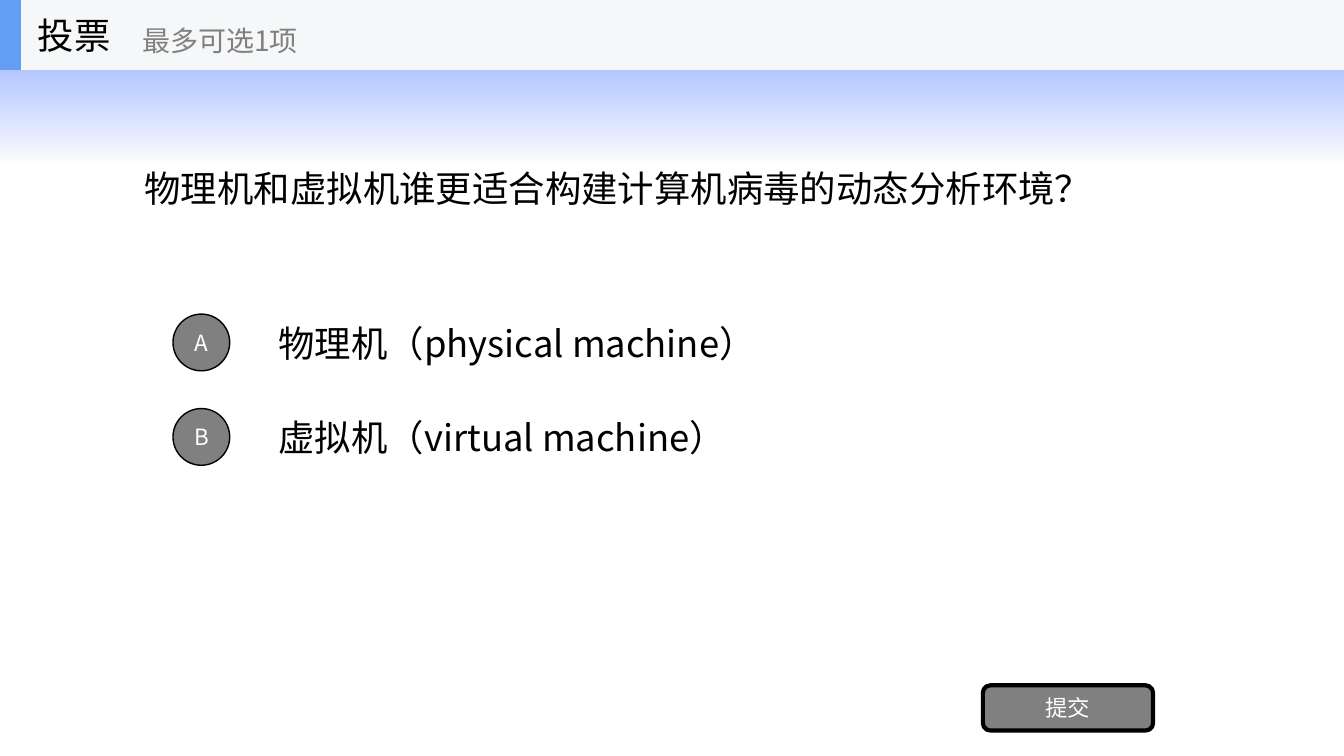
from lxml import etree
from pptx import Presentation
from pptx import util as u
from pptx.dml.color import RGBColor
from pptx.enum import shapes, text
from pptx.oxml.ns import qn

FONT = "Noto Sans CJK SC"
BLACK, GREY, WHITE = "000000", "808080", "FFFFFF"
SLIDE_WIDTH = 33.87
HEADER_HEIGHT = 1.76
OPTIONS = [("A", "物理机（physical machine）"), ("B", "虚拟机（virtual machine）")]
FIRST_OPTION_TOP, OPTION_PITCH, OPTION_HEIGHT = 7.74, 2.38, 1.78
BADGE_SIZE = 1.43


def rgb(value):
    return RGBColor.from_string(value)


def write(holder, words, size, colour, align=text.PP_ALIGN.LEFT):
    frame = holder.text_frame
    frame.word_wrap = True
    frame.auto_size = text.MSO_AUTO_SIZE.NONE
    frame.vertical_anchor = text.MSO_ANCHOR.MIDDLE
    paragraph = frame.paragraphs[0]
    paragraph.alignment = align
    run = paragraph.add_run()
    run.text = words
    run.font.size = u.Pt(size)
    run.font.name = FONT
    run.font.color.rgb = rgb(colour)
    east_asian = etree.Element(qn("a:ea"), typeface=FONT)
    run.font._element.find(qn("a:latin")).addnext(east_asian)


def add_label(slide, box, words, size=26, colour=BLACK):
    label = slide.shapes.add_textbox(*map(u.Cm, box))
    write(label, words, size, colour)


def add_block(slide, kind, box, fill=None, line_width=0):
    block = slide.shapes.add_shape(kind, *map(u.Cm, box))
    block.shadow.inherit = False
    if fill:
        block.fill.solid()
        block.fill.fore_color.rgb = rgb(fill)
    if line_width:
        block.line.color.rgb = rgb(BLACK)
        block.line.width = u.Pt(line_width)
    else:
        block.line.fill.background()
    return block


def add_button(slide, kind, box, words, line_width):
    button = add_block(slide, kind, box, GREY, line_width)
    write(button, words, 16, WHITE, text.PP_ALIGN.CENTER)


def add_glow(slide):
    glow = add_block(slide, shapes.MSO_SHAPE.RECTANGLE, (0, 0, SLIDE_WIDTH, 4.11))
    glow.fill.gradient()
    glow.fill.gradient_angle = 270
    fade = [("3366FF", 0, 60), (WHITE, 1, 70)]
    for stop, (colour, position, _) in zip(glow.fill.gradient_stops, fade):
        stop.color.rgb = rgb(colour)
        stop.position = position
    tints = glow.element.spPr.iter(qn("a:srgbClr"))
    for tint, (_, _, opacity) in zip(tints, fade):
        etree.SubElement(tint, qn("a:alpha"), val=str(opacity * 1000))
    slide.shapes.title.element.addprevious(glow.element)


def add_question(slide, words):
    question = slide.shapes.title
    question.left, question.top = u.Cm(3.39), u.Cm(1.76)
    question.width, question.height = u.Cm(27.09), u.Cm(5.94)
    write(question, words, 26, BLACK)


def add_option(slide, index, letter, answer):
    top = FIRST_OPTION_TOP + index * OPTION_PITCH
    add_label(slide, (6.77, top, 23.7, OPTION_HEIGHT), answer)
    badge_top = top + (OPTION_HEIGHT - BADGE_SIZE) / 2
    add_button(slide, shapes.MSO_SHAPE.OVAL,
               (4.36, badge_top, BADGE_SIZE, BADGE_SIZE), letter, 1)


def add_header(slide):
    for width, colour in [(SLIDE_WIDTH, "F6F7F8"), (0.53, "639EF4")]:
        add_block(slide, shapes.MSO_SHAPE.RECTANGLE, (0, 0, width, HEADER_HEIGHT), colour)
    add_label(slide, (0.7, 0, 5.28, HEADER_HEIGHT), "投票")
    add_label(slide, (3.33, 0.31, 6.35, 1.42), "最多可选1项", 20, GREY)


def main():
    deck = Presentation()
    deck.slide_width, deck.slide_height = u.Cm(SLIDE_WIDTH), u.Cm(19.05)
    slide = deck.slides.add_slide(deck.slide_layouts[5])
    add_glow(slide)
    add_question(slide, "物理机和虚拟机谁更适合构建计算机病毒的动态分析环境？")
    for index, (letter, answer) in enumerate(OPTIONS):
        add_option(slide, index, letter, answer)
    add_button(slide, shapes.MSO_SHAPE.ROUNDED_RECTANGLE,
               (24.77, 17.27, 4.29, 1.14), "提交", 3)
    add_header(slide)
    deck.save("out.pptx")


if __name__ == "__main__":
    main()
